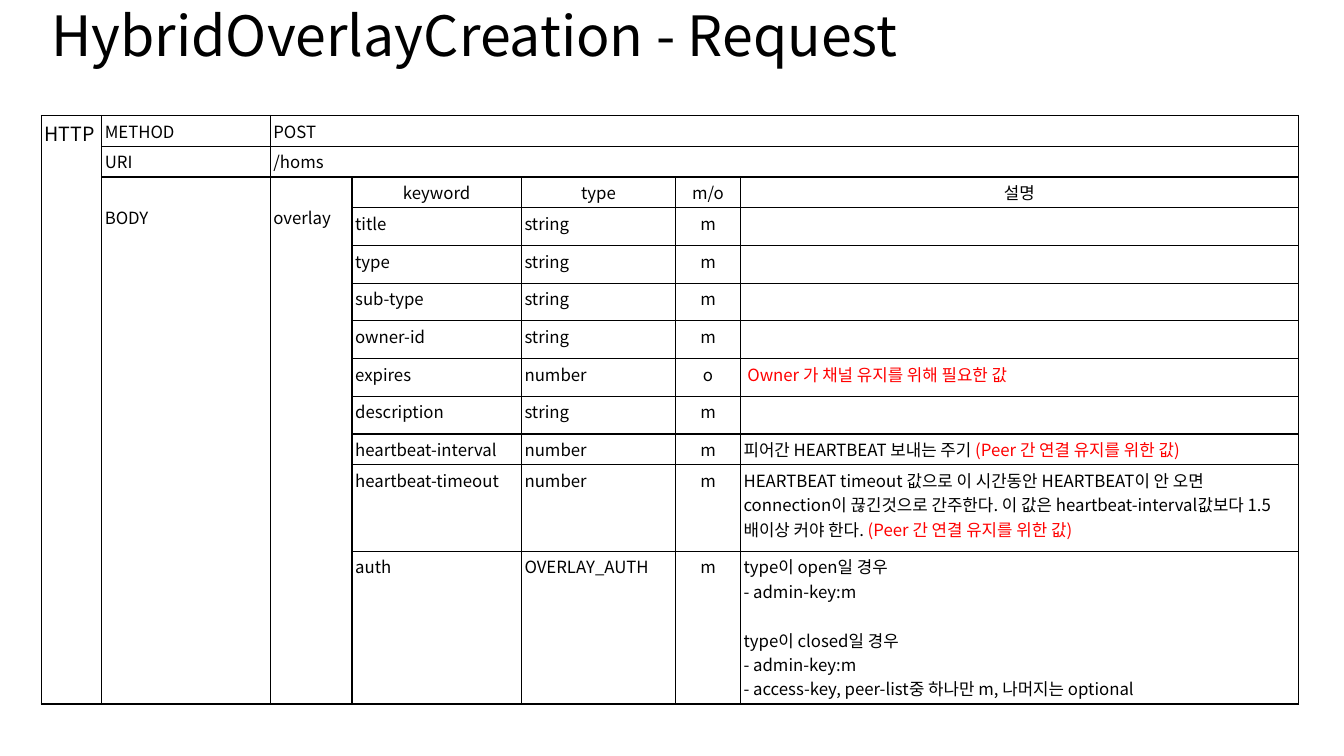
"""Build the HybridOverlayCreation request slide."""
import pptx
import pptx.dml.color
import pptx.enum.text
import pptx.oxml.ns
import pptx.util
from dataclasses import dataclass
from lxml import etree

Cm = pptx.util.Cm
Pt = pptx.util.Pt
qn = pptx.oxml.ns.qn
Align = pptx.enum.text.PP_ALIGN
Anchor = pptx.enum.text.MSO_ANCHOR


@dataclass(frozen=True)
class Theme:
    font: str = "Noto Sans CJK KR"
    ink: str = "000000"
    red: str = "FF0000"
    paper: str = "FFFFFF"
    head: float = 39.6
    large: int = 14
    body: int = 12
    gap: float = 17.5
    inset: float = 0.08
    drop: float = 0.7
    rule: float = 1


class Deck:
    def __init__(self, theme):
        self.theme = theme
        self.show = pptx.Presentation()
        self.show.slide_width = Cm(33.87)
        self.show.slide_height = Cm(19.05)
        self.slide = self.show.slides.add_slide(self.show.slide_layouts[5])

    def add_run(self, para, text, size, color):
        run = para.add_run()
        run.text = text
        run.font.size = Pt(size)
        run.font.name = self.theme.font
        run.font.color.rgb = pptx.dml.color.RGBColor.from_string(color)
        east = etree.Element(qn("a:ea"), typeface=self.theme.font)
        run.font._element.find(qn("a:latin")).addnext(east)

    def title(self, text, left, top, width, height):
        shape = self.slide.shapes.title
        shape.left, shape.top = Cm(left), Cm(top)
        shape.width, shape.height = Cm(width), Cm(height)
        frame = shape.text_frame
        frame.word_wrap = True
        frame.auto_size = pptx.enum.text.MSO_AUTO_SIZE.NONE
        frame.vertical_anchor = Anchor.MIDDLE
        para = frame.paragraphs[0]
        para.alignment = Align.LEFT
        para.line_spacing = 0.9
        self.add_run(para, text, self.theme.head, self.theme.ink)

    def border(self, cell):
        props = cell._tc.get_or_add_tcPr()
        for side in ("lnL", "lnR", "lnT", "lnB"):
            line = etree.SubElement(props, qn("a:" + side), w=str(Pt(self.theme.rule)))
            fill = etree.SubElement(line, qn("a:solidFill"))
            etree.SubElement(fill, qn("a:srgbClr"), val=self.theme.ink)

    def table(self, left, top, widths, heights):
        frame = self.slide.shapes.add_table(
            len(heights), len(widths), Cm(left), Cm(top),
            Cm(sum(widths)), Cm(sum(heights)))
        grid = frame.table
        grid.first_row = grid.horz_banding = False
        for column, width in zip(grid.columns, widths):
            column.width = Cm(width)
        for row, height in zip(grid.rows, heights):
            row.height = Cm(height)
        for cell in grid.iter_cells():
            cell.margin_left = cell.margin_right = Cm(self.theme.inset)
            cell.margin_top = cell.margin_bottom = Cm(self.theme.inset)
            self.border(cell)
            cell.fill.solid()
            cell.fill.fore_color.rgb = pptx.dml.color.RGBColor.from_string(self.theme.paper)
        return grid

    def label(self, cell, lines, center=False, size=None):
        size = size or self.theme.body
        frame = cell.text_frame
        for index, line in enumerate(lines):
            para = frame.paragraphs[0] if index == 0 else frame.add_paragraph()
            para.alignment = Align.CENTER if center else Align.LEFT
            for text, color in line:
                self.add_run(para, text, size, color)
        if not lines:
            etree.SubElement(frame.paragraphs[0]._p, qn("a:endParaRPr"), sz=str(size * 100))

    def save(self):
        self.show.save("out.pptx")


def main():
    theme = Theme()
    deck = Deck(theme)
    deck.title("HybridOverlayCreation - Request", 1.04, 0.05, 31.67, 1.83)

    def plain(*texts):
        return [[(text, theme.ink)] for text in texts]

    peer = ("(Peer 간 연결 유지를 위한 값)", theme.red)
    expires = [[(" Owner 가 채널 유지를 위해 필요한 값", theme.red)]]
    beat = [[("피어간 HEARTBEAT 보내는 주기 ", theme.ink), peer]]
    timeout = [[(
        "HEARTBEAT timeout 값으로 이 시간동안 HEARTBEAT이 안 오면 "
        "connection이 끊긴것으로 간주한다. 이 값은 heartbeat-interval값보다 "
        "1.5배이상 커야 한다. ", theme.ink), peer]]
    auth = plain(
        "type이 open일 경우", "- admin-key:m",
        "type이 closed일 경우", "- admin-key:m",
        "- access-key, peer-list중 하나만 m, 나머지는 optional")
    fields = [
        ("title", "string", "m", []),
        ("type", "string", "m", []),
        ("sub-type", "string", "m", []),
        ("owner-id", "string", "m", []),
        ("expires", "number", "o", expires),
        ("description", "string", "m", []),
        ("heartbeat-interval", "number", "m", beat),
        ("heartbeat-timeout", "number", "m", timeout),
        ("auth", "OVERLAY_AUTH", "m", auth),
    ]

    widths = [1.52, 4.25, 2.06, 4.27, 3.89, 1.63, 14.06]
    heights = [0.56] * 3 + [0.95] * 6 + [0.69, 2.18, 3.12]
    grid = deck.table(1.04, 2.91, widths, heights)
    last = len(heights) - 1
    for first, final in [((0, 0), (last, 0)), ((0, 2), (0, 6)), ((1, 2), (1, 6)),
                         ((2, 1), (last, 1)), ((2, 2), (last, 2))]:
        grid.cell(*first).merge(grid.cell(*final))

    deck.label(grid.cell(0, 0), plain("HTTP"), size=theme.large)
    for row, (name, value) in enumerate(
            [("METHOD", "POST"), ("URI", "/homs"), ("BODY", "overlay")]):
        deck.label(grid.cell(row, 1), plain(name))
        deck.label(grid.cell(row, 2), plain(value))
    for column in (1, 2):
        grid.cell(2, column).margin_top = Cm(theme.drop)

    for column, name in enumerate(("keyword", "type", "m/o", "설명"), 3):
        deck.label(grid.cell(2, column), plain(name), center=True)
    for row, (key, kind, need, notes) in enumerate(fields, 3):
        deck.label(grid.cell(row, 3), plain(key))
        deck.label(grid.cell(row, 4), plain(kind))
        deck.label(grid.cell(row, 5), plain(need), center=True)
        deck.label(grid.cell(row, 6), notes)
    grid.cell(last, 6).text_frame.paragraphs[2].space_before = Pt(theme.gap)
    deck.save()


if __name__ == "__main__":
    main()
